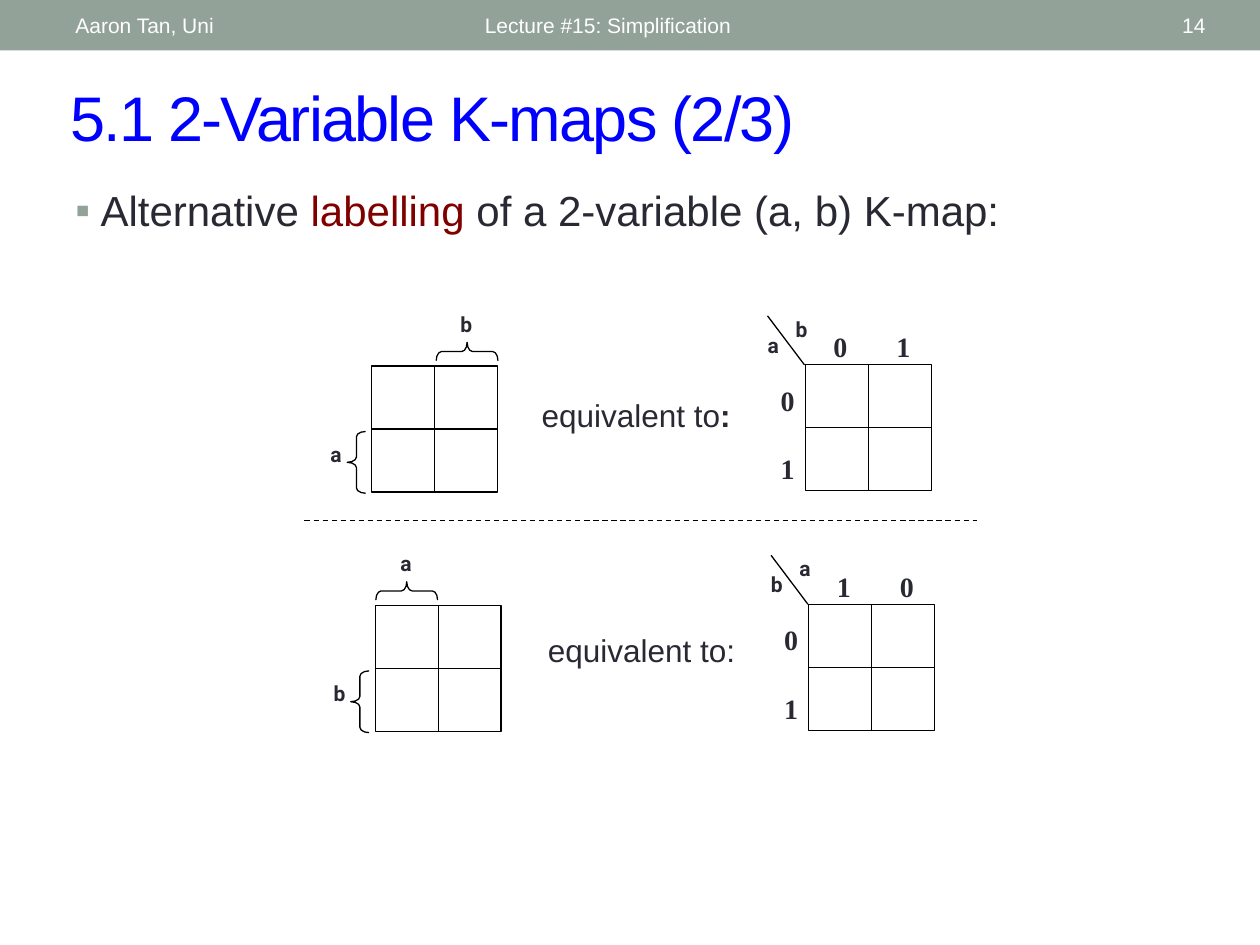
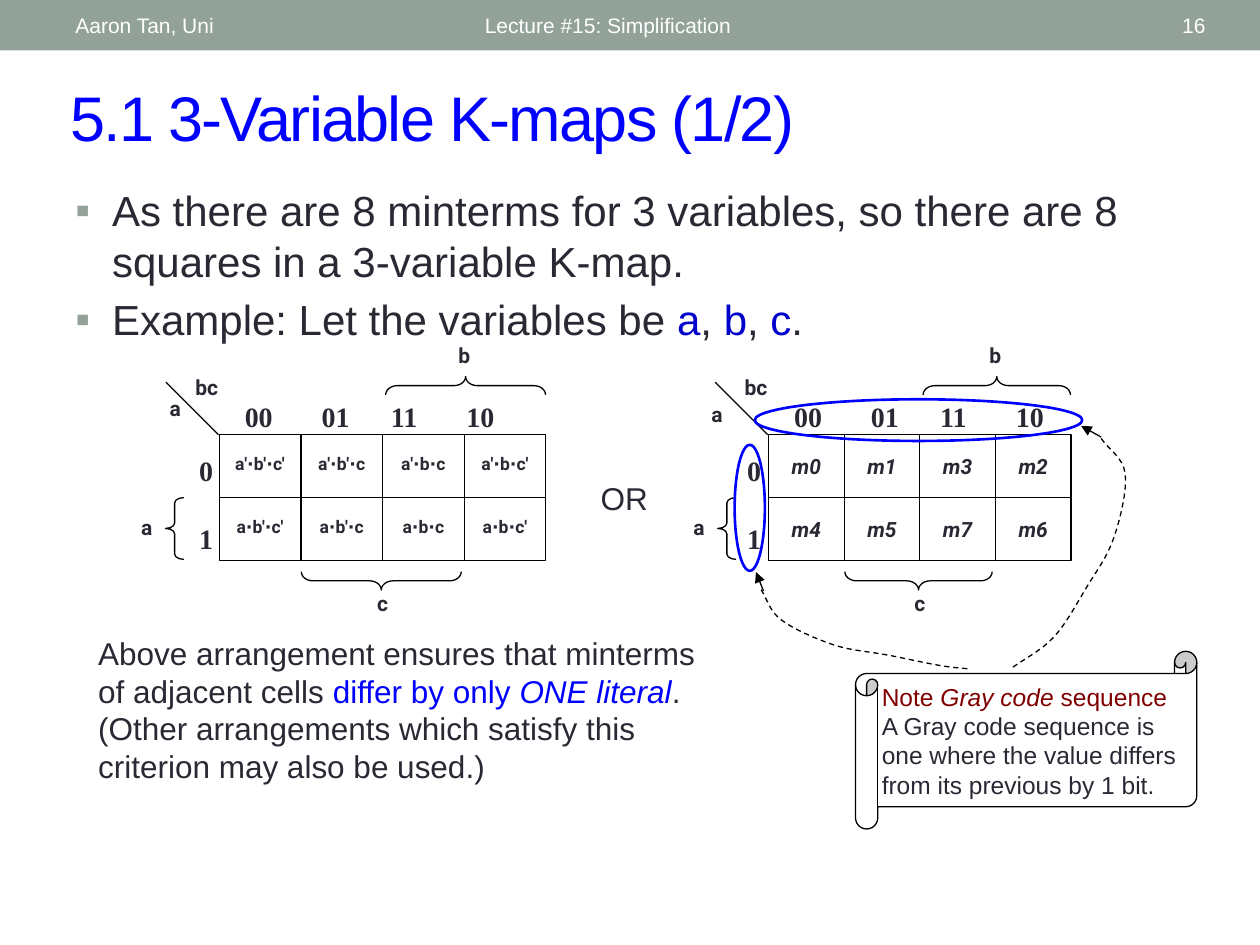
"""Build two lecture slides on labelling Karnaugh maps."""
from dataclasses import dataclass, replace

from lxml import etree
from pptx import Presentation
from pptx.dml.color import RGBColor
from pptx.enum.dml import MSO_LINE
from pptx.enum.shapes import MSO_CONNECTOR, MSO_SHAPE
from pptx.enum.text import MSO_ANCHOR, MSO_AUTO_SIZE, PP_ALIGN
from pptx.oxml.ns import qn
from pptx.util import Pt

LEFT, CENTER, RIGHT = PP_ALIGN.LEFT, PP_ALIGN.CENTER, PP_ALIGN.RIGHT
TOP, MIDDLE = MSO_ANCHOR.TOP, MSO_ANCHOR.MIDDLE
NO_FIT = MSO_AUTO_SIZE.NONE
STRAIGHT, DASH = MSO_CONNECTOR.STRAIGHT, MSO_LINE.DASH
RECTANGLE, ELLIPSE = MSO_SHAPE.RECTANGLE, MSO_SHAPE.OVAL
BRACE, SCROLL = MSO_SHAPE.LEFT_BRACE, MSO_SHAPE.HORIZONTAL_SCROLL

COLORS = {
    "band": "93A299", "title": "0000FF", "text": "292934", "term": "800000",
    "variable": "0000CC", "highlight": "0000FF", "line": "000000", "white": "FFFFFF",
}
CELL_HEIGHT = 36
BRACE_DEPTH = 10.5
UP, DOWN, SIDEWAYS = 90, 270, 0


@dataclass(frozen=True)
class Style:
    """Character formatting of a run."""
    size: float
    color: str = "text"
    font: str = "Arial"
    bold: bool = False
    italic: bool = False


@dataclass(frozen=True)
class Run:
    """A stretch of text in one style."""
    text: str
    style: Style


@dataclass(frozen=True)
class Label:
    """A variable name, placed by its centre and top from the map corner."""
    text: str
    dx: float
    dy: float


@dataclass(frozen=True)
class Brace:
    """A brace, placed by its centre from the map corner, and its label."""
    dx: float
    dy: float
    span: float
    turn: int
    label: Label


@dataclass(frozen=True)
class Headings:
    """Row and column values around a map, with its corner slash."""
    columns: tuple[str, ...]
    tabs: tuple[float, ...]
    columns_dx: float
    rows_dx: float
    slash: tuple[float, float]
    labels: tuple[Label, ...]


@dataclass(frozen=True)
class KMap:
    """A two-row Karnaugh map."""
    left: float
    top: float
    cell_width: float
    minterms: tuple[tuple[str, ...], ...]
    minterm_style: Style
    braces: tuple[Brace, ...] = ()
    headings: Headings | None = None


TITLE = Style(36, "title")
FOOTER = Style(12, "white")
BODY = Style(24)
REMARK = Style(18)
NOTE = Style(14)
VARIABLE = Style(12, font="Roboto", bold=True)
VALUE = Style(16, font="Times New Roman", bold=True)
PRODUCT = replace(VARIABLE, size=10)
MINTERM = replace(VARIABLE, italic=True)


def rgb(name: str) -> RGBColor:
    """Look up a named colour."""
    return RGBColor.from_string(COLORS[name])


def write(frame, paragraphs, align=LEFT, anchor=TOP, gap=0.0) -> None:
    """Fill a text frame run by run."""
    frame.word_wrap, frame.auto_size, frame.vertical_anchor = True, NO_FIT, anchor
    for index, runs in enumerate(paragraphs):
        paragraph = frame.add_paragraph() if index else frame.paragraphs[0]
        paragraph.alignment = align
        if gap and index:
            paragraph.space_before = Pt(gap)
        for part in runs:
            run = paragraph.add_run()
            run.text = part.text
            font, style = run.font, part.style
            font.name, font.size = style.font, Pt(style.size)
            font.bold, font.italic = style.bold, style.italic
            font.color.rgb = rgb(style.color)


def add_text(slide, box, paragraphs, align=LEFT, anchor=TOP, gap=0.0):
    """Add a text box and return its frame."""
    frame = slide.shapes.add_textbox(*map(Pt, box)).text_frame
    write(frame, paragraphs, align, anchor, gap)
    return frame


def add_bullets(slide, box, paragraphs, indent: float) -> None:
    """Add a bulleted list with a hanging indent."""
    for paragraph in add_text(slide, box, paragraphs, gap=4.8).paragraphs:
        properties = paragraph._p.get_or_add_pPr()
        properties.set("marL", str(Pt(indent)))
        properties.set("indent", str(-Pt(indent)))
        color = etree.SubElement(properties, qn("a:buClr"))
        etree.SubElement(color, qn("a:srgbClr"), val=COLORS["band"])
        etree.SubElement(properties, qn("a:buFont"), typeface="Arial")
        etree.SubElement(properties, qn("a:buChar"), char="▪")


def outline(shape, fill=None, line="line", width=0.75):
    """Set the fill and line of a shape."""
    shape.shadow.inherit = False
    if fill:
        shape.fill.solid()
        shape.fill.fore_color.rgb = rgb(fill)
    else:
        shape.fill.background()
    if line:
        shape.line.color.rgb = rgb(line)
        shape.line.width = Pt(width)
    else:
        shape.line.fill.background()
    return shape


def add_shape(slide, kind, box, fill=None, line="line", width=0.75):
    """Add a preset shape."""
    return outline(slide.shapes.add_shape(kind, *map(Pt, box)), fill, line, width)


def add_line(slide, start, end, dashed=False, arrow=False) -> None:
    """Add a straight line, with an arrowhead at its end on request."""
    connector = slide.shapes.add_connector(STRAIGHT, *map(Pt, (*start, *end)))
    connector.line.color.rgb = rgb("line")
    connector.line.width = Pt(0.75)
    if dashed:
        connector.line.dash_style = DASH
    properties = connector._element.spPr
    if arrow:
        etree.SubElement(properties.find(qn("a:ln")), qn("a:tailEnd"), type="triangle")
    etree.SubElement(properties, qn("a:effectLst"))


def add_curve(slide, knots, steps=8) -> None:
    """Add a dashed smooth curve through the knots."""
    def beyond(end, neighbour):
        return tuple(2 * a - b for a, b in zip(end, neighbour))

    chain = [beyond(knots[0], knots[1]), *knots, beyond(knots[-1], knots[-2])]
    points = []
    for before, start, end, after in zip(chain, chain[1:], chain[2:], chain[3:]):
        for t in (step / steps for step in range(1, steps + 1)):
            points.append(tuple(
                Pt(b + (c - a) * t / 2 + (2 * a - 5 * b + 4 * c - d) * t**2 / 2
                   + (3 * b - a - 3 * c + d) * t**3 / 2)
                for a, b, c, d in zip(before, start, end, after)))
    builder = slide.shapes.build_freeform(*map(Pt, knots[0]))
    builder.add_line_segments(points, close=False)
    outline(builder.convert_to_shape()).line.dash_style = DASH


def add_label(slide, kmap: KMap, label: Label) -> None:
    """Add a variable name beside a map."""
    box = (kmap.left + label.dx - 20, kmap.top + label.dy, 40, 23)
    add_text(slide, box, [[Run(label.text, VARIABLE)]], CENTER)


def add_headings(slide, kmap: KMap, headings: Headings) -> None:
    """Add row and column values, the corner slash and its variables."""
    left, top = kmap.left, kmap.top
    dx, dy = headings.slash
    add_line(slide, (left - 0.5, top), (left + dx, top + dy))
    for label in headings.labels:
        add_label(slide, kmap, label)
    box = (left + headings.columns_dx, top - 23.5, 174, 28)
    frame = add_text(slide, box, [[Run("\t".join(headings.columns), VALUE)]])
    tabs = etree.SubElement(frame.paragraphs[0]._p.get_or_add_pPr(), qn("a:tabLst"))
    for position in headings.tabs:
        etree.SubElement(tabs, qn("a:tab"), pos=str(Pt(position)), algn="l")
    box = (left + headings.rows_dx - 30, top + 7, 30, 61)
    add_text(slide, box, [[Run(value, VALUE)] for value in "01"], RIGHT, gap=20)


def add_kmap(slide, kmap: KMap) -> None:
    """Draw a map with its cells, braces and headings."""
    left, top, step = kmap.left, kmap.top, kmap.cell_width
    count = len(kmap.minterms[0])
    right, bottom = left + count * step, top + 2 * CELL_HEIGHT
    add_shape(slide, RECTANGLE, (left, top, right - left, bottom - top))
    add_line(slide, (left, top + CELL_HEIGHT), (right, top + CELL_HEIGHT))
    for column in range(1, count):
        add_line(slide, (left + column * step, top), (left + column * step, bottom))
    for row, minterms in enumerate(kmap.minterms):
        for column, minterm in enumerate(minterms):
            if minterm:
                box = (left + column * step, top + row * CELL_HEIGHT + 7.2, step, 28.8)
                add_text(slide, box, [[Run(minterm, kmap.minterm_style)]], CENTER)
    for brace in kmap.braces:
        box = (left + brace.dx - BRACE_DEPTH / 2, top + brace.dy - brace.span / 2,
               BRACE_DEPTH, brace.span)
        shape = add_shape(slide, BRACE, box)
        shape.rotation = brace.turn
        shape.adjustments[0] = 0.29 if brace.span < 40 else 0.63
        add_label(slide, kmap, brace.label)
    if kmap.headings:
        add_headings(slide, kmap, kmap.headings)


def add_slide(deck, title: str, number: int):
    """Add a slide with its title, band and footers."""
    slide = deck.slides.add_slide(deck.slide_layouts[5])
    add_shape(slide, RECTANGLE, (0, 0, 720, 28.8), "band", None)
    heading = slide.shapes.title
    heading.left, heading.top, heading.width, heading.height = map(Pt, (33, 41, 653, 50.4))
    write(heading.text_frame, [[Run(title, TITLE)]], anchor=MIDDLE)
    heading.text_frame.paragraphs[0].runs[0]._r.get_or_add_rPr().set("spc", "-100")
    for text, left, width, align in (
            ("Lecture #15: Simplification", 270, 324, LEFT),
            (str(number), 628, 68, RIGHT), ("Aaron Tan, Uni", 36, 228, LEFT)):
        add_text(slide, (left, 1.5, width, 26), [[Run(text, FOOTER)]], align, MIDDLE)
    return slide


def build_two_variables(deck) -> None:
    """Show two equivalent ways to label a 2-variable map."""
    slide = add_slide(deck, "5.1 2-Variable K-maps (2/3)", 14)
    add_bullets(slide, (36, 102, 648, 46), [[
        Run("Alternative ", BODY), Run("labelling", replace(BODY, color="term")),
        Run(" of a 2-variable (a, b) K-map:", BODY)]], 14.4)
    blank = (("", ""), ("", ""))
    for left, top, row, column, brace_dx, values in (
            (212.4, 209.2, "a", "b", 54.5, ("0", "1")),
            (214.4, 346, "b", "a", 18, ("1", "0"))):
        add_kmap(slide, KMap(left, top, 36, blank, VARIABLE, braces=(
            Brace(-8.7, 55, 35.3, SIDEWAYS, Label(row, -20.4, 39.5)),
            Brace(brace_dx, -8.3, 35.3, UP, Label(column, brace_dx - 0.4, -35)))))
        add_kmap(slide, KMap(left + 247.8, top - 0.7, 36, blank, VARIABLE, headings=Headings(
            values, (36,), 9, 1, (-21.6, -28),
            (Label(row, -18.4, -22), Label(column, -2.2, -31.3)))))
    add_text(slide, (302.4, 222.5, 130, 29),
             [[Run("equivalent to", REMARK), Run(":", replace(REMARK, bold=True))]])
    add_text(slide, (306, 357, 128, 29), [[Run("equivalent to:", REMARK)]])
    add_line(slide, (174, 297.4), (558, 297.4), dashed=True)


def build_three_variables(deck) -> None:
    """Show a 3-variable map by products and by minterm numbers."""
    slide = add_slide(deck, "5.1 3-Variable K-maps (1/2)", 16)
    variable = replace(BODY, color="variable")
    add_bullets(slide, (36, 102, 648, 381), [
        [Run("As there are 8 minterms for 3 variables, so there are 8 squares "
             "in a 3-variable K-map.", BODY)],
        [Run("Example: Let the variables be ", BODY), Run("a", variable), Run(", ", BODY),
         Run("b", variable), Run(", ", BODY), Run("c", variable), Run(".", BODY)]], 21)
    products = tuple(tuple(f"{a}∙{bc}" for bc in ("b'∙c'", "b'∙c", "b∙c", "b∙c'"))
                     for a in ("a'", "a"))
    numbers = (("m0", "m1", "m3", "m2"), ("m4", "m5", "m7", "m6"))
    for left, step, cells, style, side, span, row_label, rows_dx in (
            (125.3, 46.65, products, PRODUCT, -25.5, 91.4, Label("a", -25.2, -26), 3.6),
            (439.2, 43.2, numbers, MINTERM, -23.8, 84.2, Label("a", -29.5, -22.3), 2.9)):
        add_kmap(slide, KMap(left, 248.4, step, cells, style, (
            Brace(side, 53.6, 35.3, SIDEWAYS, Label("a", side - 16, 41.8)),
            Brace(3 * step + 0.8, -28, span, UP, Label("b", 3 * step, -56.2)),
            Brace(2 * step - 0.7, 83.5, span, DOWN, Label("c", 2 * step, 85.7))),
            Headings(("00", "01", "11", "10"), (43.9, 83.5, 126.7), 7.5, rows_dx,
                     (-30.5, -30), (row_label, Label("bc", -7.2, -38.2)))))
    add_text(slide, (336.2, 270, 42, 31), [[Run("OR", REMARK)]])
    add_line(slide, (436.3, 337.7), (432, 326.9), arrow=True)
    add_line(slide, (629.3, 249.8), (617.8, 243.4), arrow=True)
    add_shape(slide, SCROLL, (488.9, 372.2, 195, 101.5), "white").adjustments[0] = 0.125
    add_shape(slide, ELLIPSE, (419.8, 254.2, 17.3, 72), line="highlight", width=1.5)
    add_shape(slide, ELLIPSE, (431.3, 228.2, 187.2, 23.8), line="highlight", width=1.5)
    term = replace(NOTE, color="term")
    add_text(slide, (496.8, 386, 187.2, 78), [
        [Run("Note ", term), Run("Gray code ", replace(term, italic=True)),
         Run("sequence", term)],
        [Run("A Gray code sequence is one where the value differs from its "
             "previous by 1 bit.", NOTE)]])
    add_curve(slide, ((629.3, 250.6), (643, 270.7), (636.5, 307.4),
                      (620.6, 336.2), (602, 364.3), (577.4, 382.3)))
    add_curve(slide, ((434.9, 337), (446.4, 354.2), (476.6, 368.6),
                      (507.6, 374.4), (536.4, 380.2), (553.7, 382.3)))
    emphasis = replace(REMARK, color="highlight")
    add_text(slide, (49, 358.6, 364.3, 103), [[
        Run("Above arrangement ensures that minterms of adjacent cells ", REMARK),
        Run("differ by only ", emphasis), Run("ONE literal", replace(emphasis, italic=True)),
        Run(". (Other arrangements which satisfy this criterion may also be used.)", REMARK)]])


presentation = Presentation()
presentation.slide_width, presentation.slide_height = Pt(720), Pt(540)
build_two_variables(presentation)
build_three_variables(presentation)
presentation.save("out.pptx")
